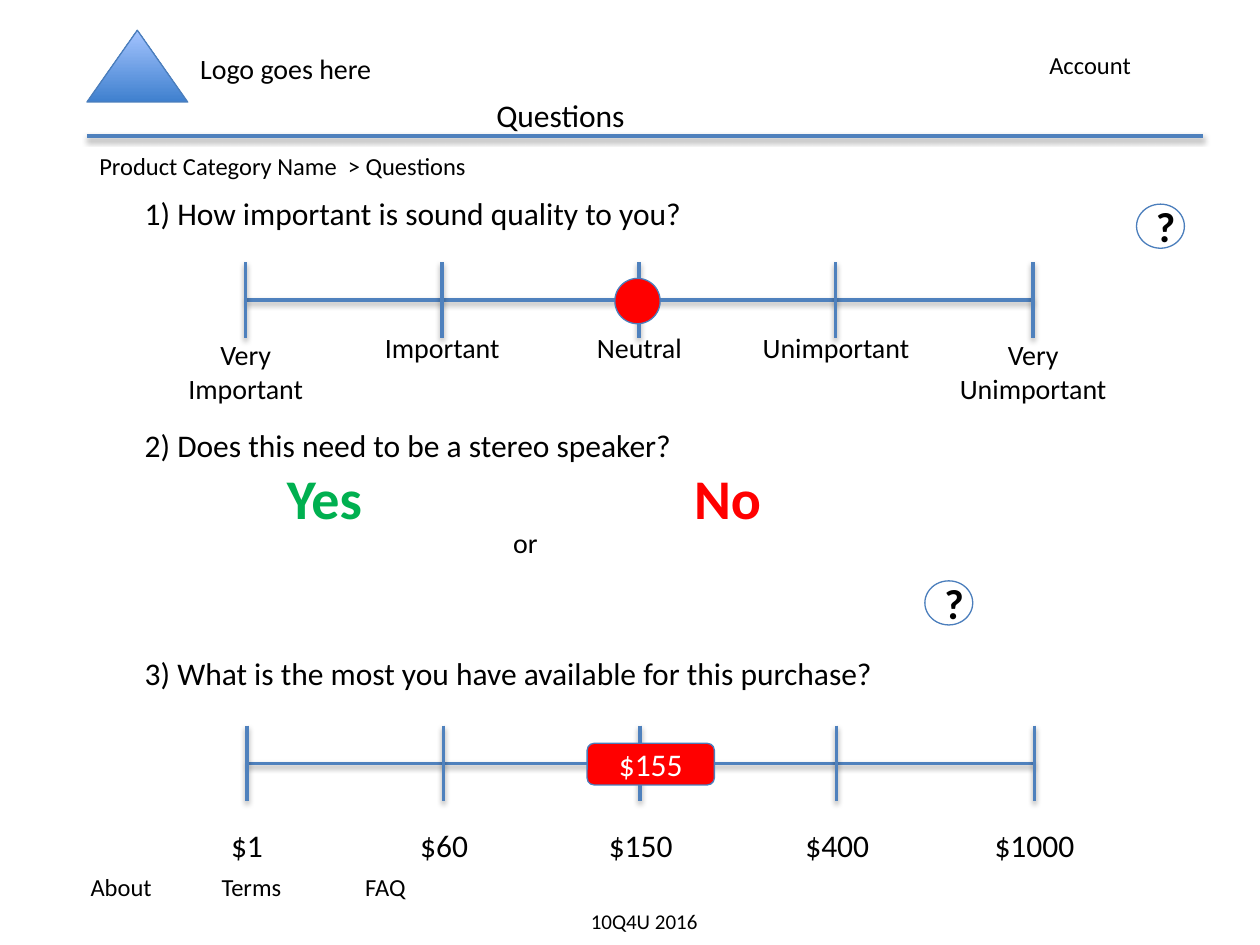
from dataclasses import dataclass

from lxml.etree import SubElement
from pptx import Presentation
from pptx.dml.color import RGBColor
from pptx.enum.shapes import MSO_CONNECTOR, MSO_SHAPE as Shape
from pptx.enum.text import MSO_ANCHOR as Anchor, MSO_AUTO_SIZE as AutoSize, PP_ALIGN as Align
from pptx.oxml.ns import qn
from pptx.shapes.autoshape import Shape as AutoShape
from pptx.slide import Slide
from pptx.text.text import TextFrame
from pptx.util import Emu, Pt

PX = 9144
FONT = "Calibri"
BLACK = RGBColor(0x00, 0x00, 0x00)
WHITE = RGBColor(0xFF, 0xFF, 0xFF)
RED = RGBColor(0xFF, 0x00, 0x00)
GREEN = RGBColor(0x00, 0xB0, 0x50)
LINE_BLUE = RGBColor(0x4F, 0x81, 0xBD)
EDGE_BLUE = RGBColor(0x4B, 0x7E, 0xBC)
LOGO_DARK = RGBColor(0x3F, 0x80, 0xCE)
LOGO_LIGHT = RGBColor(0xA4, 0xC4, 0xFF)
TICK_REACH = 30


@dataclass(frozen=True)
class Label:
    text: str
    left: int
    top: int
    width: int
    height: int
    size: int = 14
    color: RGBColor = BLACK
    bold: bool = False
    align: Align = Align.LEFT
    wrap: bool = True


@dataclass(frozen=True)
class Mark:
    text: str
    width: int
    top: int
    height: int
    wrap: bool = False


@dataclass(frozen=True)
class Scale:
    left: int
    right: int
    axis: int
    size: int
    marks: tuple[Mark, ...]


@dataclass(frozen=True)
class Badge:
    kind: Shape
    left: int
    top: int
    width: int
    height: int
    fill: RGBColor
    text: str = ""
    size: int = 18
    color: RGBColor = WHITE
    bold: bool = False
    align: Align = Align.CENTER


LABELS = (
    Label("Account", 823, 35, 104, 34),
    Label("About", 62, 687, 88, 34),
    Label("Terms", 166, 687, 88, 34),
    Label("FAQ", 280, 687, 88, 34),
    Label("Logo goes here", 149, 36, 158, 37, 16, wrap=False),
    Label("10Q4U 2016", 459, 716, 165, 30, 12),
    Label("Product Category Name  > Questions", 69, 115, 564, 34),
    Label("Questions", 384, 71, 225, 41, 18),
    Label("1) How important is sound quality to you?", 105, 149, 462, 40, 18),
    Label("2) Does this need to be a stereo speaker?", 105, 333, 725, 40, 18),
    Label("3) What is the most you have available for this purchase?", 105, 514, 725, 40, 18),
    Label("Yes", 186, 363, 143, 64, 32, GREEN, True, Align.CENTER),
    Label("No", 506, 363, 143, 64, 32, RED, True, Align.CENTER),
    Label("or", 392, 412, 50, 37, 16, align=Align.CENTER),
)

SCALES = (
    Scale(195, 820, 238, 16, (
        Mark("Very Important", 132, 263, 44, True),
        Mark("Important", 124, 257, 25),
        Mark("Neutral", 97, 257, 25),
        Mark("Unimportant", 153, 257, 25),
        Mark("Very Unimportant", 164, 263, 44, True),
    )),
    Scale(196, 821, 606, 18, (
        Mark("$1", 132, 651, 40, True),
        Mark("$60", 59, 651, 40),
        Mark("$150", 71, 651, 40),
        Mark("$400", 71, 651, 40),
        Mark("$1000", 164, 651, 40, True),
    )),
)

BADGES = (
    Badge(Shape.OVAL, 902, 162, 38, 35, WHITE, "?", 24, BLACK, True, Align.LEFT),
    Badge(Shape.OVAL, 734, 461, 38, 35, WHITE, "?", 24, BLACK, True, Align.LEFT),
    Badge(Shape.OVAL, 488, 221, 36, 36, RED),
    Badge(Shape.ROUNDED_RECTANGLE, 466, 590, 101, 33, RED, "$155"),
)


def px(*lengths: int) -> list[Emu]:
    return [Emu(length * PX) for length in lengths]


def write(frame: TextFrame, item: Label | Badge) -> None:
    para = frame.paragraphs[0]
    para.alignment = item.align
    span = para.add_run()
    span.text = item.text
    span.font.name = FONT
    span.font.size = Pt(item.size)
    span.font.bold = item.bold
    span.font.color.rgb = item.color


def draw_label(page: Slide, label: Label) -> None:
    box = page.shapes.add_textbox(*px(label.left, label.top, label.width, label.height))
    box.text_frame.word_wrap = label.wrap
    box.text_frame.auto_size = AutoSize.SHAPE_TO_FIT_TEXT
    write(box.text_frame, label)


def draw_line(page: Slide, x1: int, y1: int, x2: int, y2: int) -> None:
    line = page.shapes.add_connector(MSO_CONNECTOR.STRAIGHT, *px(x1, y1, x2, y2))
    line.line.color.rgb = LINE_BLUE
    line.line.width = Pt(2)
    effects = SubElement(line._element.spPr, qn("a:effectLst"))
    shadow = SubElement(effects, qn("a:outerShdw"), blurRad="40000", dist="23000",
                        dir="5400000", rotWithShape="0")
    tint = SubElement(shadow, qn("a:srgbClr"), val="000000")
    SubElement(tint, qn("a:alpha"), val="35000")


def draw_scale(page: Slide, scale: Scale) -> None:
    draw_line(page, scale.left, scale.axis, scale.right, scale.axis)
    step = (scale.right - scale.left) / (len(scale.marks) - 1)
    for index, mark in enumerate(scale.marks):
        x = int(scale.left + index * step)
        draw_line(page, x, scale.axis - TICK_REACH, x, scale.axis + TICK_REACH)
        draw_label(page, Label(mark.text, x - mark.width // 2, mark.top, mark.width, mark.height,
                               scale.size, align=Align.CENTER, wrap=mark.wrap))


def add_outlined(page: Slide, kind: Shape, *place: int) -> AutoShape:
    shape = page.shapes.add_shape(kind, *px(*place))
    shape.shadow.inherit = False
    shape.line.color.rgb = EDGE_BLUE
    shape.line.width = Pt(0.75)
    return shape


def draw_badge(page: Slide, badge: Badge) -> None:
    shape = add_outlined(page, badge.kind, badge.left, badge.top, badge.width, badge.height)
    shape.fill.solid()
    shape.fill.fore_color.rgb = badge.fill
    if badge.text:
        shape.text_frame.vertical_anchor = Anchor.MIDDLE
        write(shape.text_frame, badge)


def draw_logo(page: Slide) -> None:
    logo = add_outlined(page, Shape.ISOSCELES_TRIANGLE, 69, 24, 80, 57)
    logo.fill.gradient()
    logo.fill.gradient_angle = 90
    for stop, color in zip(logo.fill.gradient_stops, (LOGO_DARK, LOGO_LIGHT)):
        stop.color.rgb = color


def main() -> None:
    deck = Presentation()
    deck.slide_width, deck.slide_height = px(1000, 750)
    page = deck.slides.add_slide(deck.slide_layouts[6])
    draw_logo(page)
    draw_line(page, 69, 108, 955, 108)
    for label in LABELS:
        draw_label(page, label)
    for scale in SCALES:
        draw_scale(page, scale)
    for badge in BADGES:
        draw_badge(page, badge)
    deck.save("out.pptx")


if __name__ == "__main__":
    main()
